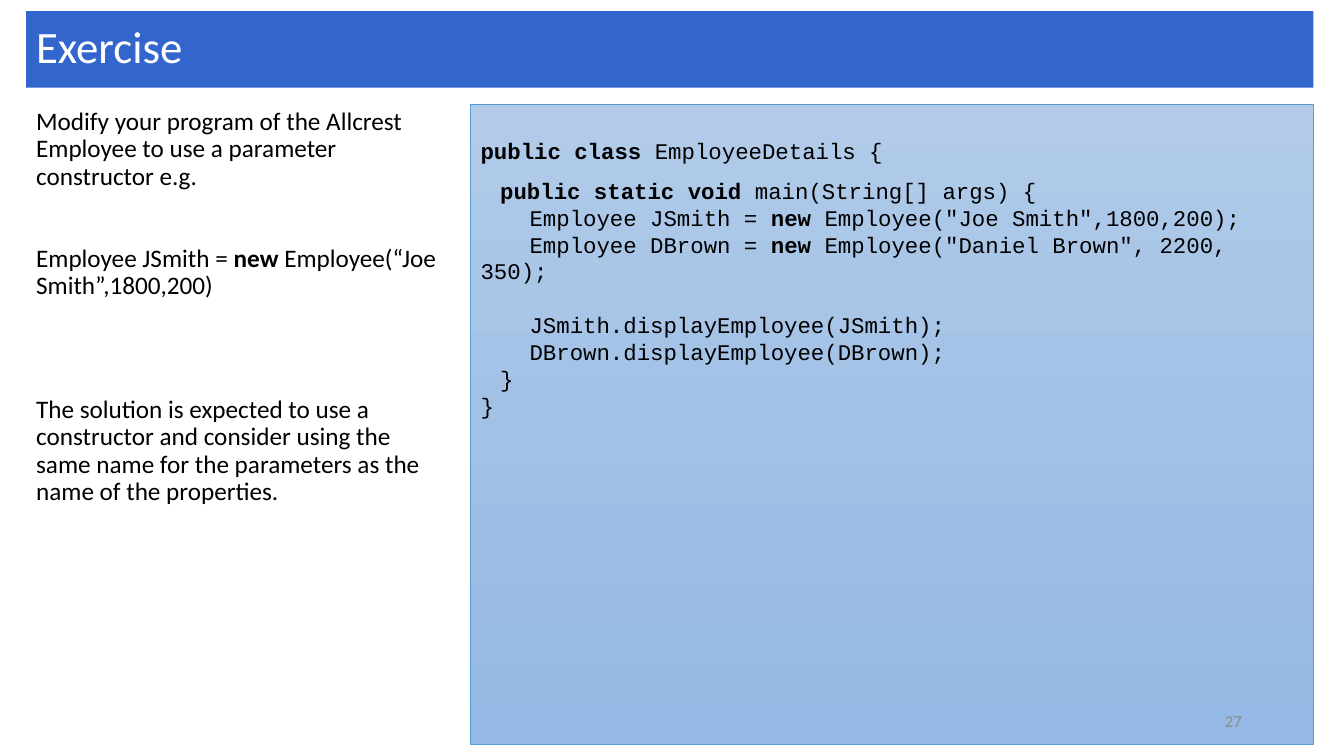
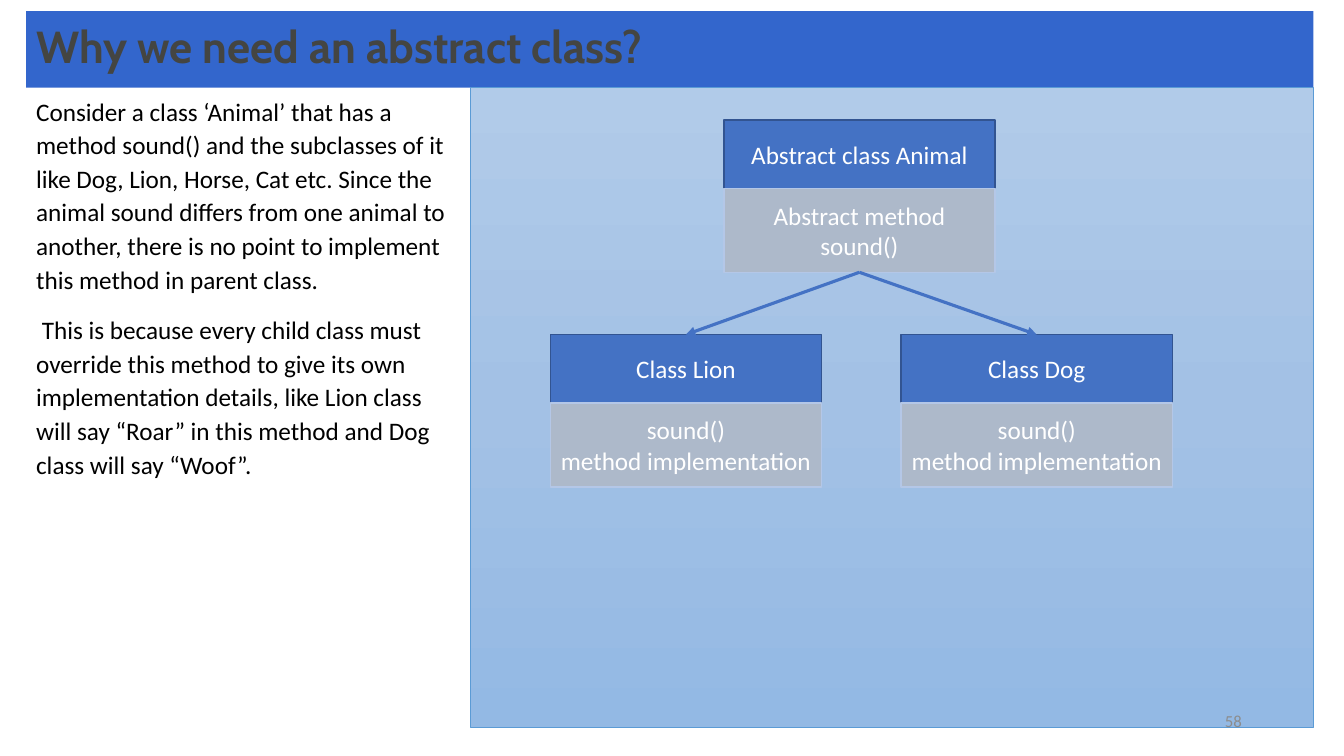
import copy
from dataclasses import dataclass

import pptx
import pptx.dml.color
import pptx.enum.shapes
import pptx.enum.text
import pptx.oxml.ns
import pptx.util

Pt = pptx.util.Pt
RGB = pptx.dml.color.RGBColor.from_string
ALIGN = pptx.enum.text.PP_ALIGN
ANCHOR = pptx.enum.text.MSO_ANCHOR
RECT = pptx.enum.shapes.MSO_SHAPE.RECTANGLE
STRAIGHT = pptx.enum.shapes.MSO_CONNECTOR.STRAIGHT
TOP_SITE, BOTTOM_SITE = 0, 2


@dataclass(frozen=True)
class Theme:
    band: str = "3366CC"
    white: str = "FFFFFF"
    black: str = "000000"
    dark: str = "444542"
    number: str = "8C8C8C"
    panel: tuple = ((0, "B1CBE9"), (0.5, "A3C1E5"), (1, "93B9E4"))
    panel_line: str = "5B9BD5"
    header: str = "4472C4"
    header_line: str = "325491"
    method: str = "ADB9CA"
    method_line: str = "B4C7E7"
    font: str = "Calibri"
    code_font: str = "Courier New"
    title_size: int = 32
    body_size: int = 18
    code_size: int = 16
    number_size: int = 12


T = Theme()
MARGIN = 18.7
TEXT_W = 310.3
PANEL_X, PANEL_W, PANEL_H = 336.2, 602, 457.2
BOX_W, HEADER_H, METHOD_H = 193.7, 49, 59.8
CODE_INDENTS = (0, 14, 35)


def box(*lengths):
    return [Pt(v) for v in lengths]


def set_all(obj, values):
    for name, value in values.items():
        setattr(obj, name, value)


def write(sp, paragraphs, size, color, font=T.font, bold=False,
          anchor=ANCHOR.TOP, **common):
    """Fill a shape with (text, paragraph format) pairs; *stars* mark bold."""
    tf = sp.text_frame
    set_all(tf, {"word_wrap": True, "vertical_anchor": anchor})
    for i, (text, own) in enumerate(paragraphs):
        p = tf.add_paragraph() if i else tf.paragraphs[0]
        set_all(p, {"alignment": ALIGN.LEFT, **common, **own})
        for j, part in enumerate(text.split("*")):
            if part:
                r = p.add_run()
                r.text = part
                set_all(r.font, {"name": font, "size": Pt(size),
                                 "bold": bold or j % 2 == 1})
                r.font.color.rgb = RGB(color)


def add_rect(shapes, place, fill=None, line=None, width=1):
    sp = shapes.add_shape(RECT, *box(*place))
    sp.shadow.inherit = False
    if fill:
        sp.fill.solid()
        sp.fill.fore_color.rgb = RGB(fill)
    if line:
        sp.line.color.rgb = RGB(line)
        sp.line.width = Pt(width)
    else:
        sp.line.fill.background()
    return sp


def add_title(s, text, **style):
    sp = add_rect(s.shapes, (MARGIN, 8, 919.5, 54.7), T.band)
    write(sp, [(text, {})], T.title_size, anchor=ANCHOR.MIDDLE,
          line_spacing=0.9, **style)


def add_body(s, top, paragraphs, **spacing):
    sp = s.shapes.add_textbox(*box(MARGIN, top, TEXT_W, 450))
    write(sp, paragraphs, T.body_size, T.black, **spacing)


def add_panel(s, top):
    sp = add_rect(s.shapes, (PANEL_X, top, PANEL_W, PANEL_H),
                  line=T.panel_line, width=0.5)
    sp.fill.gradient()
    sp.fill.gradient_angle = 270
    stops = sp._element.spPr.xpath(".//a:gsLst")[0]
    stops.insert(1, copy.deepcopy(stops[0]))
    for stop, (position, color) in zip(sp.fill.gradient_stops, T.panel):
        stop.position = position
        stop.color.rgb = RGB(color)
    return sp


def add_code(sp, lines):
    """Write (level, text, paragraph format) lines; wrapped text returns to the left edge."""
    sp.text_frame.margin_top = Pt(24)
    write(sp, [(text, own) for _, text, own in lines],
          T.code_size, T.black, T.code_font)
    for p, (level, _, _) in zip(sp.text_frame.paragraphs, lines):
        p._p.get_or_add_pPr().set("indent", str(Pt(CODE_INDENTS[level])))


def add_number(s, number):
    sp = s.shapes.add_textbox(*box(678.2, 500.4, 216, 28.8))
    write(sp, [(number, {})], T.number_size, T.number,
          anchor=ANCHOR.MIDDLE, alignment=ALIGN.RIGHT)


def add_class(s, left, top, name, method):
    """Draw a class name over its method; return both shapes."""
    shapes = s.shapes.add_group_shape().shapes
    header = add_rect(shapes, (left, top, BOX_W, HEADER_H),
                      T.header, T.header_line)
    body = add_rect(shapes, (left, top + HEADER_H, BOX_W, METHOD_H),
                    T.method, T.method_line)
    for sp, lines in ((header, [name]), (body, method)):
        write(sp, [(line, {}) for line in lines], T.body_size, T.white,
              anchor=ANCHOR.MIDDLE, alignment=ALIGN.CENTER)
    return header, body


def add_arrow(s, start, end):
    c = s.shapes.add_connector(STRAIGHT, 0, 0, 0, 0)
    c.begin_connect(start, BOTTOM_SITE)
    c.end_connect(end, TOP_SITE)
    c.line.color.rgb = RGB(T.header)
    c.line.width = Pt(2.25)
    qn = pptx.oxml.ns.qn
    ln = c.line._get_or_add_ln()
    ln.append(ln.makeelement(qn("a:tailEnd"), {"type": "triangle"}))
    spPr = c._element.spPr
    spPr.append(spPr.makeelement(qn("a:effectLst"), {}))


def exercise_slide(s):
    add_title(s, "Exercise", color=T.white)
    add_body(s, 74.2, [
        ("Modify your program of the Allcrest Employee to use a parameter "
         "constructor e.g.", {}),
        ("Employee JSmith = *new* Employee(“Joe Smith”,1800,200)",
         {"space_before": Pt(39.5)}),
        ("The solution is expected to use a constructor and consider using "
         "the same name for the parameters as the name of the properties.",
         {"space_before": Pt(69)}),
    ], line_spacing=0.9)
    add_code(add_panel(s, 74.2), [
        (0, "*public class *EmployeeDetails {", {"space_after": Pt(9)}),
        (1, "*public static void* main(String[] args) {", {}),
        (2, 'Employee JSmith = *new* Employee("Joe Smith",1800,200);', {}),
        (2, 'Employee DBrown = *new* Employee("Daniel Brown", 2200, 350);', {}),
        (2, "JSmith.displayEmployee(JSmith);", {"space_before": Pt(19.2)}),
        (2, "DBrown.displayEmployee(DBrown);", {}),
        (1, "}", {}),
        (0, "}", {}),
    ])
    add_number(s, "27")


def abstract_class_slide(s):
    add_title(s, "Why we need an abstract class?", color=T.dark,
              font="Cabin", bold=True)
    add_body(s, 62.6, [
        ("Consider a class ‘Animal’ that has a method sound() and the "
         "subclasses of it like Dog, Lion, Horse, Cat etc. Since the animal "
         "sound differs from one animal to another, there is no point to "
         "implement this method in parent class.", {}),
        (" This is because every child class must override this method to "
         "give its own implementation details, like Lion class will say "
         "“Roar” in this method and Dog class will say “Woof”.", {}),
    ], line_spacing=Pt(24), space_after=Pt(12))
    add_panel(s, 62.6)
    add_number(s, "58")
    _, parent = add_class(s, 517, 85.7, "Abstract class Animal",
                          ["Abstract method sound()"])
    for left, name in ((393.1, "Class Lion"), (643.7, "Class Dog")):
        child, _ = add_class(s, left, 239, name,
                             ["sound()", "method implementation"])
        add_arrow(s, parent, child)


def main():
    prs = pptx.Presentation()
    prs.slide_width, prs.slide_height = box(960, 540)
    for build in (exercise_slide, abstract_class_slide):
        build(prs.slides.add_slide(prs.slide_layouts[6]))
    prs.save("out.pptx")


if __name__ == "__main__":
    main()
